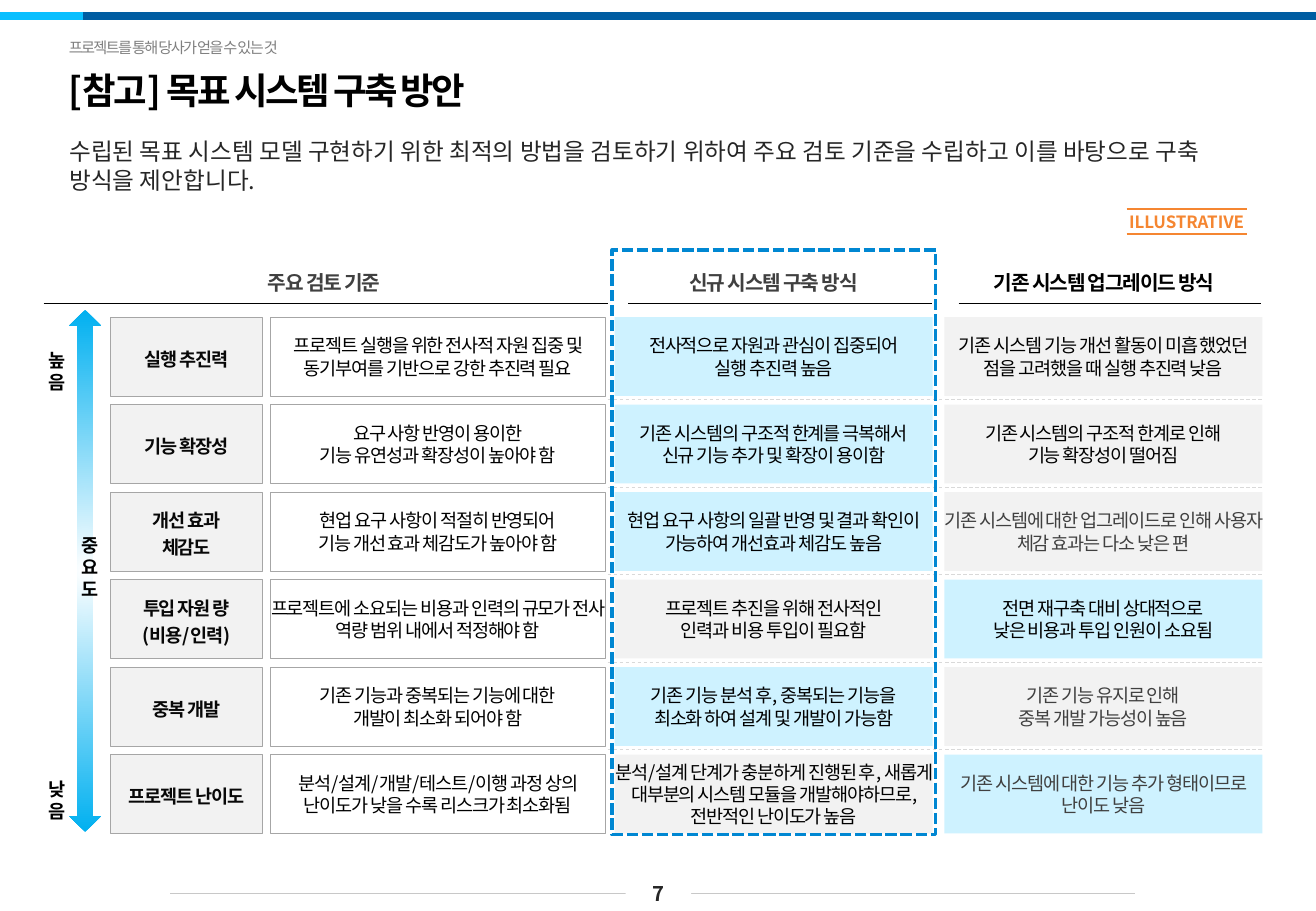
"""Build the slide that compares two ways of building the target system."""
from dataclasses import dataclass

from lxml import etree
from pptx import Presentation
from pptx.dml.color import RGBColor
from pptx.enum.dml import MSO_LINE
from pptx.enum.shapes import MSO_CONNECTOR, MSO_SHAPE
from pptx.enum.text import MSO_ANCHOR, PP_ALIGN
from pptx.oxml.ns import qn
from pptx.util import Cm, Pt

LEFT, CENTER = PP_ALIGN.LEFT, PP_ALIGN.CENTER
TOP, MIDDLE, BOTTOM = MSO_ANCHOR.TOP, MSO_ANCHOR.MIDDLE, MSO_ANCHOR.BOTTOM
STRAIGHT = MSO_CONNECTOR.STRAIGHT
RECTANGLE, DOUBLE_ARROW = MSO_SHAPE.RECTANGLE, MSO_SHAPE.UP_DOWN_ARROW
DASH, SHORT_DASH = MSO_LINE.DASH, MSO_LINE.SQUARE_DOT


@dataclass(frozen=True)
class Theme:
    font: str = "Noto Sans CJK KR"
    black: str = "000000"
    label: str = "080808"
    ink: str = "262626"
    dark: str = "404040"
    gray: str = "808080"
    border: str = "A6A6A6"
    rule: str = "C8C8C8"
    divider: str = "D9D9D9"
    plain: str = "F2F2F2"
    white: str = "FFFFFF"
    favored: str = "CEF2FF"
    navy: str = "005DA2"
    cyan: str = "09BFFF"
    arrow: str = "00B0F0"
    frame: str = "0087D2"
    orange: str = "F58631"
    title_size: float = 21.6
    lead_size: float = 14
    head_size: float = 12
    cell_size: float = 11
    stamp_size: float = 10
    subtitle_size: float = 9


theme = Theme()
deck = Presentation()
deck.slide_width, deck.slide_height = Cm(27.51), Cm(19.05)
page = deck.slides.add_slide(deck.slide_layouts[6])


def add_box(area, text, size, color, bold=False, tracking=-0.7, align=CENTER,
            anchor=MIDDLE, side=0.25, edge=0.13, leading=None, fill=None, outline=None):
    lengths = [Cm(value) for value in area]
    if fill:
        box = page.shapes.add_shape(RECTANGLE, *lengths)
        box.shadow.inherit = False
        box.fill.solid()
        box.fill.fore_color.rgb = RGBColor.from_string(fill)
        if outline:
            box.line.color.rgb = RGBColor.from_string(outline)
            box.line.width = Pt(0.25)
        else:
            box.line.fill.background()
    else:
        box = page.shapes.add_textbox(*lengths)
    frame = box.text_frame
    frame.word_wrap = True
    frame.vertical_anchor = anchor
    frame.margin_left = frame.margin_right = Cm(side)
    frame.margin_top = frame.margin_bottom = Cm(edge)
    para = frame.paragraphs[0]
    para.text = text
    para.alignment = align
    para.line_spacing = leading
    for span in para.runs:
        span.font.size = Pt(size)
        span.font.bold = bold
        span.font.color.rgb = RGBColor.from_string(color)
        span.font.name = theme.font
        properties = span.font._element
        properties.set("spc", str(round(tracking * 100)))
        etree.SubElement(properties, qn("a:ea"), typeface=theme.font)


def add_rule(start, end, top, color, width, dash=None):
    rule = page.shapes.add_connector(STRAIGHT, Cm(start), Cm(top), Cm(end), Cm(top))
    rule.line.color.rgb = RGBColor.from_string(color)
    rule.line.width = Pt(width)
    if dash:
        rule.line.dash_style = dash
    etree.SubElement(rule._element.spPr, qn("a:effectLst"))


add_rule(3.56, 23.72, 18.69, theme.rule, 0.5)
add_box((13.08, 18.29, 1.37, 0.76), "7", theme.head_size, theme.ink, bold=True,
        tracking=0, side=0.4, anchor=TOP, fill=theme.white)
add_rule(1.3, 27.51, 0.33, theme.navy, 4.5)
add_rule(0, 1.73, 0.33, theme.cyan, 4.5)

add_box((1.19, 1.45, 24.87, 0.99), "[참고] 목표 시스템 구축 방안", theme.title_size,
        theme.black, bold=True, tracking=-1.5, align=LEFT, leading=0.9)
add_box((1.19, 0.71, 17.07, 0.61), "프로젝트를 통해 당사가 얻을 수 있는 것", theme.subtitle_size,
        theme.gray, tracking=-1, align=LEFT, leading=0.9)
add_box((1.45, 2.87, 24.61, 1.19),
        "수립된 목표 시스템 모델 구현하기 위한 최적의 방법을 검토하기 위하여 "
        "주요 검토 기준을 수립하고 이를 바탕으로 구축 방식을 제안합니다.",
        theme.lead_size, theme.ink, tracking=0, align=LEFT, anchor=TOP, side=0, edge=0)

arrow = page.shapes.add_shape(DOUBLE_ARROW, Cm(1.45), Cm(6.48), Cm(0.66), Cm(10.92))
arrow.shadow.inherit = False
arrow.adjustments[0], arrow.adjustments[1] = 0.42, 0.5
arrow.line.fill.background()
arrow.fill.gradient()
for stop, color in zip(arrow.fill.gradient_stops, (theme.white, theme.arrow)):
    stop.color.rgb = RGBColor.from_string(color)
gradient = arrow._element.spPr.find(qn("a:gradFill"))
gradient.remove(gradient.find(qn("a:lin")))
radial = etree.SubElement(gradient, qn("a:path"), path="circle")
etree.SubElement(radial, qn("a:fillToRect"), l="50000", t="50000", r="50000", b="50000")

add_box((1.45, 6.45, 0.61, 10.82), "중요도", theme.cell_size, theme.black, bold=True)
for text, top in (("높음", 7.16), ("낮음", 16.13)):
    add_box((0.76, top, 0.99, 1.19), text, theme.cell_size, theme.black, bold=True,
            align=LEFT, anchor=TOP)

headings = [
    ("주요 검토 기준", 0.86, 11.84, theme.dark, 0.91, 12.7),
    ("신규 시스템 구축 방식", 12.85, 6.65, theme.dark, 13.13, 19.48),
    ("기존 시스템 업그레이드 방식", 19.76, 6.65, theme.black, 20.04, 26.37),
]
for text, left, width, color, start, end in headings:
    add_box((left, 4.83, width, 1.47), text, theme.head_size, color, bold=True,
            anchor=BOTTOM, side=0)
    add_rule(start, end, 6.35, theme.black, 0.5)

rows = [
    ("실행 추진력",
     "프로젝트 실행을 위한 전사적 자원 집중 및 동기부여를 기반으로 강한 추진력 필요",
     "전사적으로 자원과 관심이 집중되어\n실행 추진력 높음", theme.favored,
     "기존 시스템 기능 개선 활동이 미흡 했었던 점을 고려했을 때 실행 추진력 낮음",
     theme.plain, theme.black),
    ("기능 확장성",
     "요구 사항 반영이 용이한\n기능 유연성과 확장성이 높아야 함",
     "기존 시스템의 구조적 한계를 극복해서\n신규 기능 추가 및 확장이 용이함", theme.favored,
     "기존 시스템의 구조적 한계로 인해\n기능 확장성이 떨어짐", theme.plain, theme.black),
    ("개선 효과\n체감도",
     "현업 요구 사항이 적절히 반영되어\n기능 개선 효과 체감도가 높아야 함",
     "현업 요구 사항의 일괄 반영 및 결과 확인이 가능하여 개선효과 체감도 높음", theme.favored,
     "기존 시스템에 대한 업그레이드로 인해 사용자 체감 효과는 다소 낮은 편",
     theme.plain, theme.dark),
    ("투입 자원 량\n(비용/인력)",
     "프로젝트에 소요되는 비용과 인력의 규모가 전사 역량 범위 내에서 적정해야 함",
     "프로젝트 추진을 위해 전사적인\n인력과 비용 투입이 필요함", theme.plain,
     "전면 재구축 대비 상대적으로\n낮은 비용과 투입 인원이 소요됨", theme.favored, theme.black),
    ("중복 개발",
     "기존 기능과 중복되는 기능에 대한\n개발이 최소화 되어야 함",
     "기존 기능 분석 후, 중복되는 기능을\n최소화 하여 설계 및 개발이 가능함", theme.favored,
     "기존 기능 유지로 인해\n중복 개발 가능성이 높음", theme.plain, theme.dark),
    ("프로젝트 난이도",
     "분석/설계/개발/테스트/이행 과정 상의 난이도가 낮을 수록 리스크가 최소화됨",
     "분석/설계 단계가 충분하게 진행된 후, 새롭게 대부분의 시스템 모듈을 "
     "개발해야하므로, 전반적인 난이도가 높음", theme.plain,
     "기존 시스템에 대한 기능 추가 형태이므로 난이도 낮음", theme.favored, theme.dark),
]
row_top, row_pitch, row_height = 6.63, 1.83, 1.65
for index, (name, criterion, new, new_fill, upgrade, upgrade_fill, ink) in enumerate(rows):
    top = row_top + index * row_pitch
    add_box((2.31, top, 3.18, row_height), name, theme.cell_size, theme.label, bold=True,
            leading=1.2, fill=theme.plain, outline=theme.border)
    cells = [
        (5.66, 6.99, criterion, theme.black, theme.white, theme.border),
        (12.85, 6.65, new, theme.black, new_fill, None),
        (19.74, 6.65, upgrade, ink, upgrade_fill, None),
    ]
    for left, width, text, color, fill, outline in cells:
        add_box((left, top, width, row_height), text, theme.cell_size, color,
                side=0, fill=fill, outline=outline)
    if index:
        add_rule(12.7, 26.42, top - 0.1, theme.divider, 0.5, DASH)

highlight = page.shapes.add_shape(RECTANGLE, Cm(12.8), Cm(5.23), Cm(6.76), Cm(12.22))
highlight.shadow.inherit = False
highlight.fill.background()
highlight.line.color.rgb = RGBColor.from_string(theme.frame)
highlight.line.width = Pt(2.25)
highlight.line.dash_style = SHORT_DASH

add_box((23.55, 4.42, 2.51, 0.43), "ILLUSTRATIVE", theme.stamp_size, theme.orange,
        bold=True, tracking=0, side=0, edge=0, fill=theme.white)
for top in (4.37, 4.9):
    add_rule(23.55, 26.06, top, theme.orange, 1)

deck.save("out.pptx")
